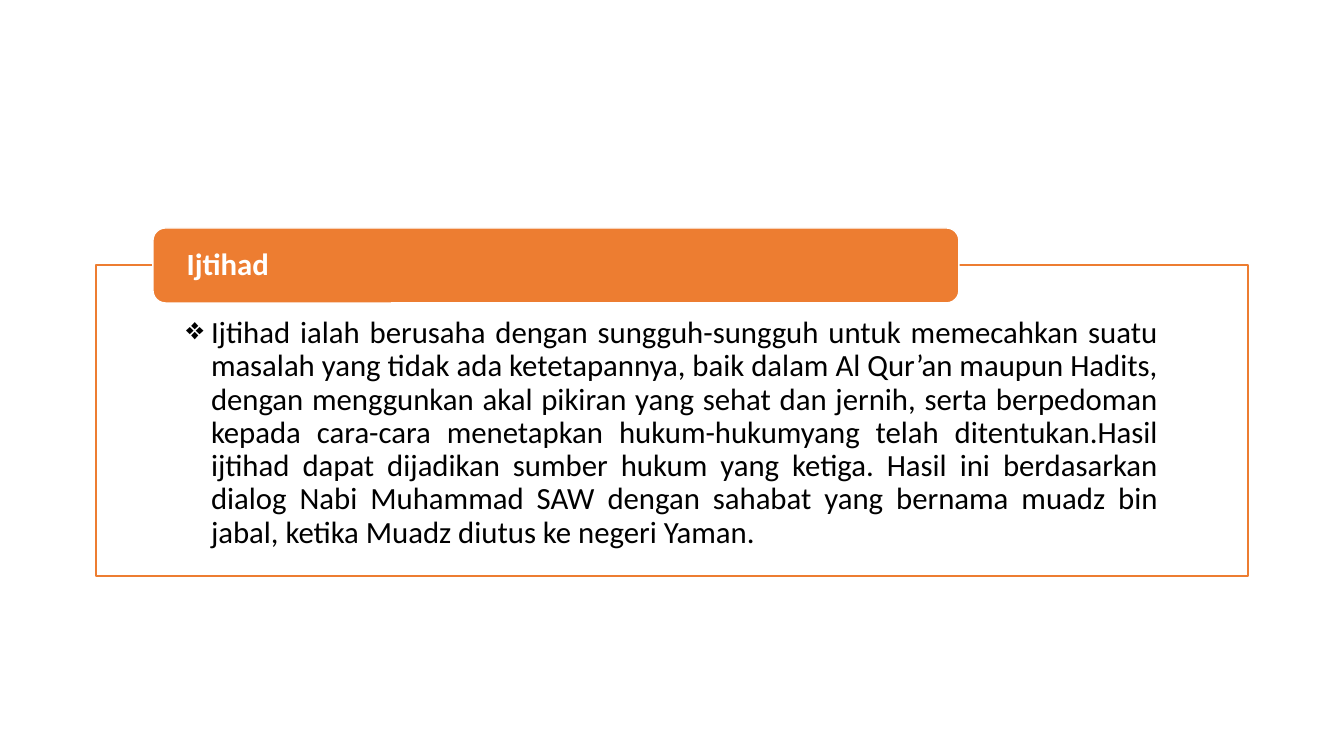
from dataclasses import dataclass

from lxml import etree
from pptx import Presentation
from pptx import util as u
from pptx.dml import color
from pptx.enum import shapes, text
from pptx.oxml import ns

SCALE = 914400 / 100.8


def px(length):
    return u.Emu(round(length * SCALE))


@dataclass(frozen=True)
class Theme:
    accent: color.RGBColor = color.RGBColor(0xED, 0x7D, 0x31)
    paper: color.RGBColor = color.RGBColor(0xFF, 0xFF, 0xFF)
    ink: color.RGBColor = color.RGBColor(0, 0, 0)
    font: str = "Calibri"
    size: int = 22
    border: int = 1
    line_spacing: float = 0.9


def apply(target, formats):
    for name, value in formats.items():
        setattr(target, name, value)


class DefinitionSlide:
    def __init__(self, deck, theme):
        self.theme = theme
        self.slide = deck.slides.add_slide(deck.slide_layouts[6])

    def block(self, kind, box, fill, line, opacity=100):
        block = self.slide.shapes.add_shape(kind, *map(px, box))
        block.shadow.inherit = False
        block.fill.solid()
        block.fill.fore_color.rgb = fill
        block.line.color.rgb = line
        block.line.width = u.Pt(self.theme.border)
        if opacity < 100:
            tint = block.fill._xPr.find(".//" + ns.qn("a:srgbClr"))
            etree.SubElement(tint, ns.qn("a:alpha"), val=str(opacity * 1000))
        return block

    def wording(self, block, words, insets, anchor, align, ink, bold=False):
        frame = block.text_frame
        sides = ("margin_left", "margin_top", "margin_right", "margin_bottom")
        apply(frame, dict(zip(sides, map(px, insets))))
        apply(frame, {"word_wrap": True, "vertical_anchor": anchor})
        paragraph = frame.paragraphs[0]
        apply(paragraph, {"alignment": align, "line_spacing": self.theme.line_spacing})
        run = paragraph.add_run()
        run.text = words
        apply(run.font, {"name": self.theme.font, "size": u.Pt(self.theme.size), "bold": bold})
        run.font.color.rgb = ink
        return paragraph

    def bullet(self, paragraph, symbol, indent):
        properties = paragraph._p.get_or_add_pPr()
        properties.set("marL", str(px(indent)))
        properties.set("indent", str(-px(indent)))
        etree.SubElement(properties, ns.qn("a:buChar"), char=symbol)


def main():
    deck = Presentation()
    apply(deck, {"slide_width": px(1344), "slide_height": px(756)})
    theme = Theme()
    page = DefinitionSlide(deck, theme)

    definition = page.block(
        shapes.MSO_SHAPE.RECTANGLE, (96, 265, 1152, 311), theme.paper, theme.accent, opacity=90
    )
    explanation = page.wording(
        definition,
        "Ijtihad ialah berusaha dengan sungguh-sungguh untuk memecahkan suatu masalah "
        "yang tidak ada ketetapannya, baik dalam Al Qur’an maupun Hadits, dengan "
        "menggunkan akal pikiran yang sehat dan jernih, serta berpedoman kepada "
        "cara-cara menetapkan hukum-hukumyang telah ditentukan.Hasil ijtihad dapat "
        "dijadikan sumber hukum yang ketiga. Hasil ini berdasarkan dialog Nabi "
        "Muhammad SAW dengan sahabat yang bernama muadz bin jabal, ketika Muadz "
        "diutus ke negeri Yaman.",
        (90, 52, 90, 17),
        text.MSO_ANCHOR.TOP,
        text.PP_ALIGN.JUSTIFY,
        theme.ink,
    )
    page.bullet(explanation, "❖", 25)

    term = page.block(
        shapes.MSO_SHAPE.ROUNDED_RECTANGLE, (153, 228, 806, 75), theme.accent, theme.paper
    )
    page.wording(
        term,
        "Ijtihad",
        (30, 0, 30, 0),
        text.MSO_ANCHOR.MIDDLE,
        text.PP_ALIGN.LEFT,
        theme.paper,
        bold=True,
    )
    deck.save("out.pptx")


if __name__ == "__main__":
    main()
